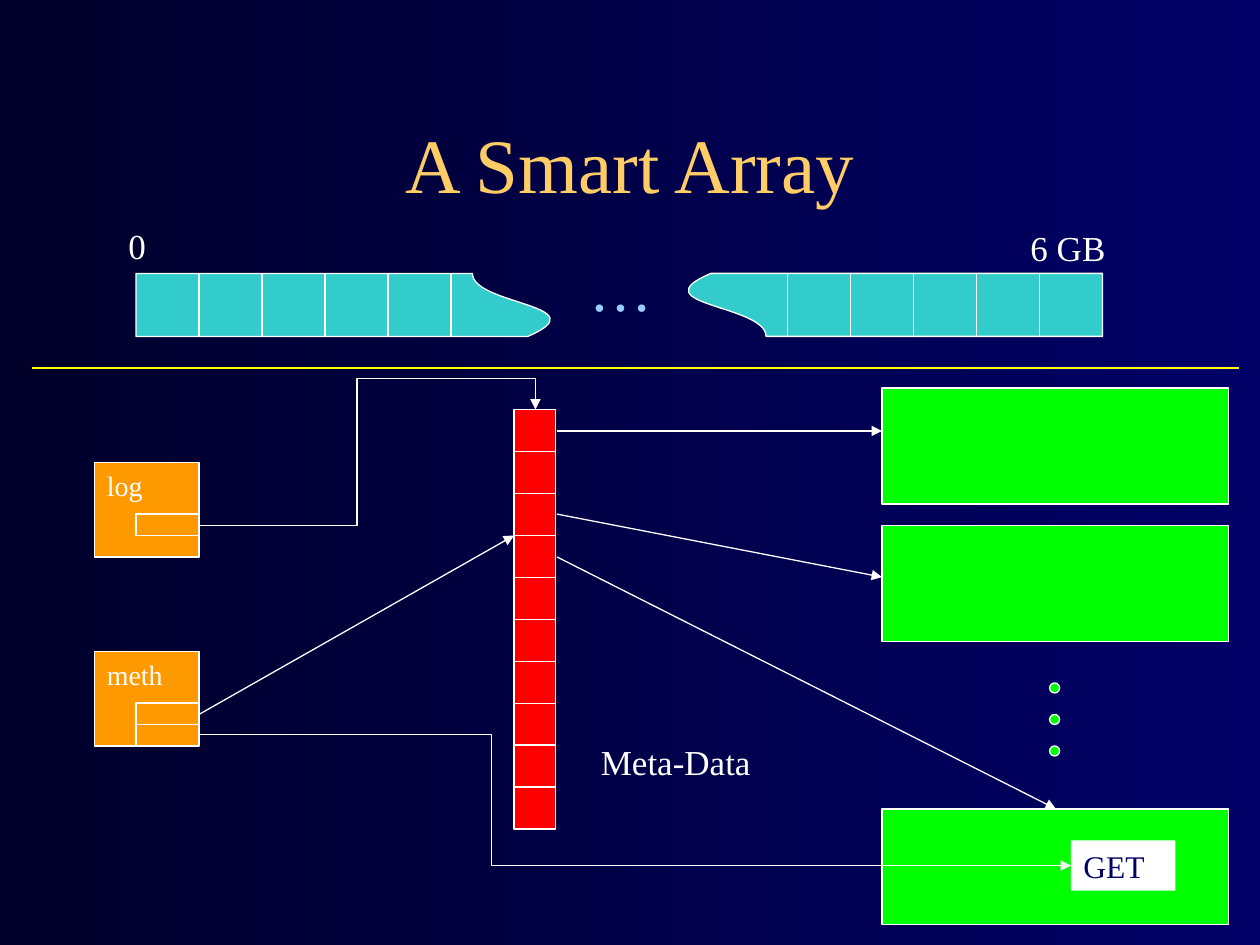
from lxml import etree
from pptx import Presentation
from pptx.dml.color import RGBColor
from pptx.enum.shapes import MSO_CONNECTOR, MSO_SHAPE
from pptx.enum.text import MSO_ANCHOR, PP_ALIGN
from pptx.oxml.ns import qn
from pptx.util import Inches, Pt

STRAIGHT, ELBOW = MSO_CONNECTOR.STRAIGHT, MSO_CONNECTOR.ELBOW
RECTANGLE, OVAL = MSO_SHAPE.RECTANGLE, MSO_SHAPE.OVAL
DOCUMENT = MSO_SHAPE.FLOWCHART_DOCUMENT
MIDDLE, TOP = MSO_ANCHOR.MIDDLE, MSO_ANCHOR.TOP
CENTER, LEFT = PP_ALIGN.CENTER, PP_ALIGN.LEFT

NAVY = RGBColor(0x00, 0x00, 0x66)
MIDNIGHT = RGBColor(0x00, 0x00, 0x2B)
GOLD = RGBColor(0xFF, 0xCC, 0x66)
TEAL = RGBColor(0x33, 0xCC, 0xCC)
SKY = RGBColor(0x99, 0xCC, 0xFF)
WHITE = RGBColor(0xFF, 0xFF, 0xFF)
YELLOW = RGBColor(0xFF, 0xFF, 0x00)
ORANGE = RGBColor(0xFF, 0x99, 0x00)
GREEN = RGBColor(0x00, 0xFF, 0x00)
RED = RGBColor(0xFF, 0x00, 0x00)
FONT = "Times New Roman"
LINE_WIDTH = Pt(0.75)


def write(shape, text, size, color, align=LEFT, anchor=TOP):
    frame = shape.text_frame
    frame.word_wrap = True
    frame.vertical_anchor = anchor
    para = frame.paragraphs[0]
    para.text = text
    para.alignment = align
    para.font.name = FONT
    para.font.size = Pt(size)
    para.font.color.rgb = color


def add_label(shapes, box, text, size, color=WHITE):
    write(shapes.add_textbox(*map(Inches, box)), text, size, color)


def add_block(shapes, box, fill, kind=RECTANGLE, outlined=True):
    block = shapes.add_shape(kind, *map(Inches, box))
    block.shadow.inherit = False
    block.fill.solid()
    block.fill.fore_color.rgb = fill
    if outlined:
        block.line.color.rgb = WHITE
        block.line.width = LINE_WIDTH
    else:
        block.line.fill.background()
    return block


def add_line(shapes, start, end, color=WHITE, kind=STRAIGHT):
    line = shapes.add_connector(kind, *map(Inches, start + end))
    line.line.color.rgb = color
    line.line.width = LINE_WIDTH
    etree.SubElement(line._element.spPr, qn("a:effectLst"))
    return line


def add_arrow(shapes, start, end, kind=STRAIGHT):
    arrow = add_line(shapes, start, end, kind=kind)
    etree.SubElement(arrow.line._get_or_add_ln(), qn("a:tailEnd"), type="triangle")
    return arrow


def add_bent_arrow(shapes, start, end, bends):
    """Elbow arrow whose bends are fractions of its width and height in turn."""
    arrow = add_arrow(shapes, start, end, ELBOW)
    geometry = arrow._element.spPr.find(qn("a:prstGeom"))
    geometry.set("prst", f"bentConnector{len(bends) + 2}")
    guides = geometry.find(qn("a:avLst"))
    for number, bend in enumerate(bends, 1):
        etree.SubElement(guides, qn("a:gd"), name=f"adj{number}",
                         fmla=f"val {round(bend * 100000)}")


def add_title(page, box, text):
    title = page.shapes.title
    title.left, title.top, title.width, title.height = map(Inches, box)
    write(title, text, 44, GOLD, CENTER, MIDDLE)


def add_array(page, box):
    """Array torn in the middle: two wavy pieces with cell dividers."""
    left, top, width, height = box
    group = page.shapes.add_group_shape().shapes
    piece, cell, right = 3.33, 0.5, left + width
    pieces = [(left, 270, left, 1), (right - piece, 90, right, -1)]
    for piece_left, rotation, outer_edge, direction in pieces:
        unturned = (piece_left + (piece - height) / 2, top + (height - piece) / 2,
                    height, piece)
        add_block(group, unturned, TEAL, DOCUMENT).rotation = rotation
        for index in range(1, 6):
            x = outer_edge + direction * index * cell
            add_line(group, (x, top), (x, top + height))
    add_label(group, (left + 3.5, top - 0.25, 0.92, 0.7), "…", 36, SKY)
    add_label(page.shapes, (left - 0.16, top - 0.44, 0.58, 0.44), "0", 20)
    add_label(page.shapes, (right - 0.67, top - 0.42, 0.92, 0.44), "6 GB", 20)


def add_object(page, box, name, slots):
    """Named object with its pointer slots, given by their offsets from the top."""
    left, top, width, height = box
    add_block(page.shapes, box, ORANGE)
    add_label(page.shapes, (left, top, 0.67, 0.37), name, 16)
    for offset in slots:
        add_block(page.shapes, (left + 0.33, top + offset, 0.5, 0.17), ORANGE)


def add_blocks(page, box):
    left, top, width, height = box
    block_height = 0.92
    for block_top in (top, top + 1.09, top + height - block_height):
        add_block(page.shapes, (left, block_top, width, block_height), GREEN)
    dots = page.shapes.add_group_shape().shapes
    for index in range(3):
        add_block(dots, (left + 1.33, top + 2.34 + index * 0.25, 0.08, 0.08), GREEN, OVAL)
    entry = add_block(page.shapes, (left + 1.5, top + 3.59, 0.83, 0.4), WHITE, outlined=False)
    write(entry, "GET", 18, NAVY)


def add_metadata(page, box):
    left, top, width, height = box
    column = page.shapes.add_group_shape().shapes
    add_block(column, box, RED)
    cells = 10
    for index in range(1, cells):
        y = top + index * height / cells
        add_line(column, (left, y), (left + width, y))
    add_label(page.shapes, (left + 0.59, top + 2.58, 1.42, 0.44), "Meta-Data", 20)


def add_pointers(page):
    shapes = page.shapes
    add_bent_arrow(shapes, (1.58, 4.17), (4.25, 3.25), [0.47, 1.27])
    add_bent_arrow(shapes, (1.58, 5.83), (8.5, 6.87), [0.335])
    straight = [
        ((1.58, 5.67), (4.08, 4.25)),
        ((4.42, 3.42), (7, 3.42)),
        ((4.42, 4.08), (7, 4.58)),
        ((4.42, 4.42), (8.38, 6.42)),
    ]
    for start, end in straight:
        add_arrow(shapes, start, end)


def add_background(page):
    fill = page.background.fill
    fill.gradient()
    fill.gradient_angle = 180
    for stop, color, position in zip(fill.gradient_stops, (NAVY, MIDNIGHT), (0, 1)):
        stop.color.rgb = color
        stop.position = position


def main():
    deck = Presentation()
    deck.slide_width, deck.slide_height = Inches(10), Inches(7.5)
    page = deck.slides.add_slide(deck.slide_layouts.get_by_name("Title Only"))
    add_background(page)
    add_title(page, (0.75, 0.67, 8.5, 1.25), "A Smart Array")
    add_array(page, (1.08, 2.17, 7.67, 0.5))
    add_line(page.shapes, (0.25, 2.92), (9.83, 2.92), YELLOW)
    add_object(page, (0.75, 3.67, 0.83, 0.75), "log", [0.41])
    add_object(page, (0.75, 5.17, 0.83, 0.75), "meth", [0.41, 0.58])
    add_blocks(page, (7, 3.08, 2.75, 4.26))
    add_metadata(page, (4.08, 3.25, 0.33, 3.33))
    add_pointers(page)
    deck.save("out.pptx")


if __name__ == "__main__":
    main()
